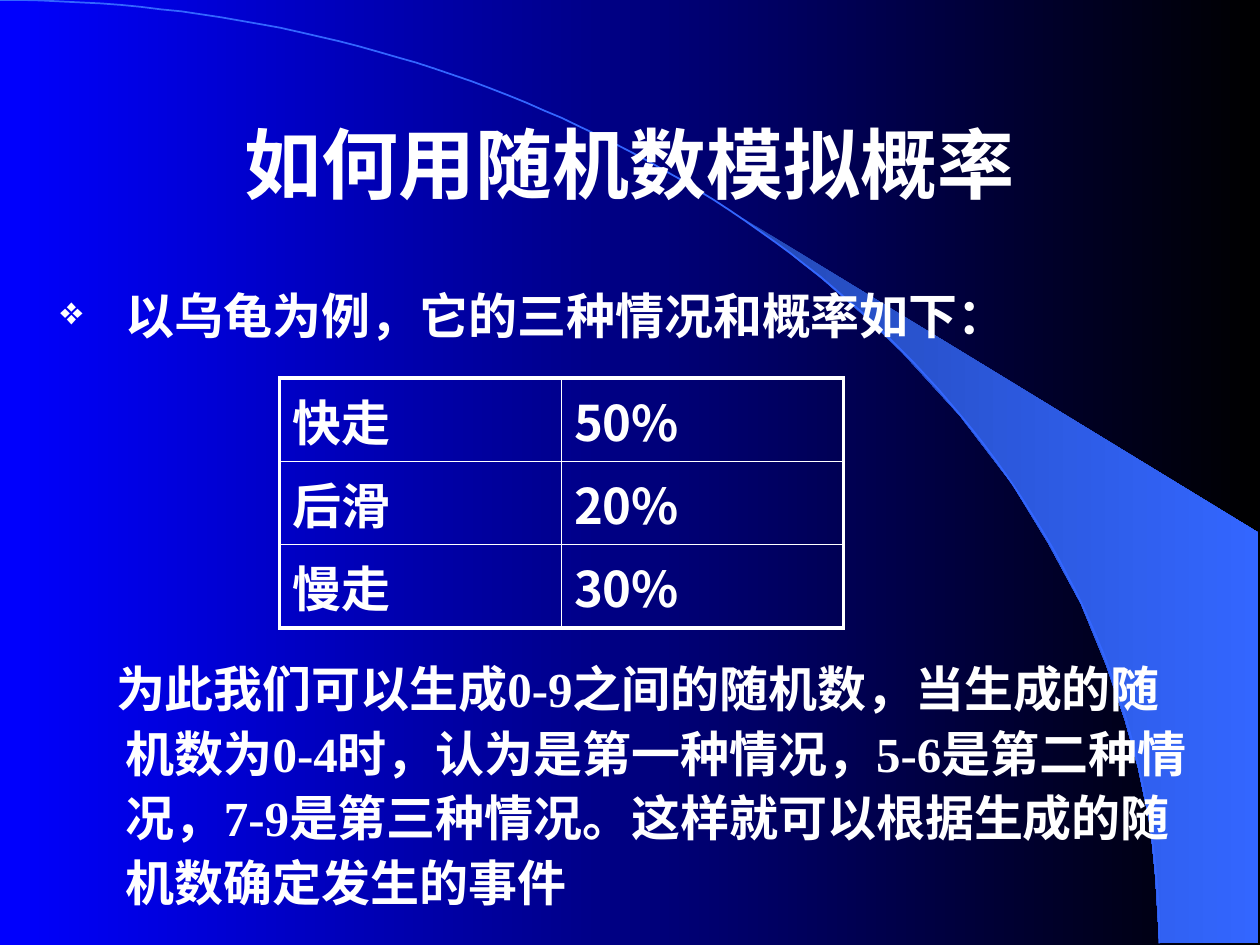
from math import cos, pi, sin

from lxml import etree
from pptx import Presentation
from pptx.dml.color import RGBColor
from pptx.enum.text import MSO_ANCHOR, PP_ALIGN
from pptx.oxml import parse_xml
from pptx.oxml.ns import nsdecls, qn
from pptx.util import Cm, Pt

CENTER, LEFT = PP_ALIGN.CENTER, PP_ALIGN.LEFT
MIDDLE, TOP = MSO_ANCHOR.MIDDLE, MSO_ANCHOR.TOP
COLORS = {"white": "FFFFFF", "blue": "0000FF", "black": "000000",
          "deep": "2449B6", "sky": "3366FF"}
SANS, SERIF, HAN = "Arial", "Times New Roman", "Noto Sans CJK SC"


def rgb(name):
    return RGBColor.from_string(COLORS[name])


class Deck:
    def __init__(self):
        self.prs = Presentation()
        self.prs.slide_width, self.prs.slide_height = Cm(25.4), Cm(19.05)
        self.slide = self.prs.slides.add_slide(self.prs.slide_layouts[6])
        self.shapes = self.slide.shapes

    def blend(self, fill, first, last):
        fill.gradient()
        fill.gradient_angle = 0
        for stop, pos, name in zip(fill.gradient_stops, (0, 1), (first, last)):
            stop.position = pos
            stop.color.rgb = rgb(name)

    def outline(self, points, close):
        dots = [(round(x * 100), round(y * 100)) for x, y in points]
        pen = self.shapes.build_freeform(*dots[0], scale=int(Cm(0.01)))
        pen.add_line_segments(dots[1:], close=close)
        shape = pen.convert_to_shape()
        shape.shadow.inherit = False
        return shape

    def add_run(self, para, text, size, font):
        run = para.add_run()
        run.text = text
        run.font.size, run.font.bold = Pt(size), True
        run.font.name = font
        run.font.color.rgb = rgb("white")
        east = etree.SubElement(run.font._element, qn("a:ea"))
        east.set("typeface", HAN)

    def text(self, box, words, size, font, align=LEFT, anchor=TOP):
        frame = self.shapes.add_textbox(*map(Cm, box)).text_frame
        frame.word_wrap, frame.vertical_anchor = True, anchor
        para = frame.paragraphs[0]
        para.alignment = align
        self.add_run(para, words, size, font)
        return para

    def body(self, box, words, hang, mark=None):
        para = self.text(box, words, 28, SERIF)
        para.line_spacing, para.space_before = 1.1, Pt(5.6)
        props = para._p.get_or_add_pPr()
        props.set("marL", str(Cm(1.32)))
        props.set("indent", str(-Cm(hang)))
        if mark:
            color = etree.SubElement(props, qn("a:buClr"))
            etree.SubElement(color, qn("a:srgbClr")).set("val", COLORS["white"])
            etree.SubElement(props, qn("a:buSzPct")).set("val", "80000")
            etree.SubElement(props, qn("a:buChar")).set("char", mark)

    def edge(self, cell, tag, width):
        cell._tc.get_or_add_tcPr().append(parse_xml(
            f'<a:{tag} {nsdecls("a")} w="{Pt(width)}"><a:solidFill>'
            f'<a:srgbClr val="{COLORS["white"]}"/></a:solidFill></a:{tag}>'))

    def table(self, left, top, wide, high, rows):
        n, m = len(rows), len(rows[0])
        grid = self.shapes.add_table(n, m, Cm(left), Cm(top),
                                     Cm(wide * m), Cm(high * n)).table
        grid.first_row = grid.horz_banding = False
        for row in grid.rows:
            row.height = Cm(high)
        for i, row in enumerate(rows):
            for j, words in enumerate(row):
                cell = grid.cell(i, j)
                outer = {"lnL": j == 0, "lnR": j == m - 1,
                         "lnT": i == 0, "lnB": i == n - 1}
                for tag, thick in outer.items():
                    self.edge(cell, tag, 2.25 if thick else 1)
                cell.fill.background()
                self.add_run(cell.text_frame.paragraphs[0], words, 28, HAN)


deck = Deck()

# Backdrop
deck.blend(deck.slide.background.fill, "blue", "black")
wedge = deck.outline([
    (23.37, 19), (25.37, 19.02), (25.37, 10.74), (14.96, 4.39),
    (15.85, 5.05), (16.59, 5.64), (17.4, 6.35), (18.19, 7.11),
    (19.35, 8.38), (20.4, 9.75), (21.13, 10.95), (21.79, 12.17),
    (22.3, 13.41), (22.68, 14.53), (22.94, 15.47), (23.19, 16.66),
    (23.29, 17.68)], True)
deck.blend(wedge.fill, "deep", "sky")
wedge.line.fill.background()

# Quarter ellipse from the top left corner
steps = 90
turns = [pi / 2 * i / steps for i in range(steps + 1)]
arc = deck.outline([(23.37 * sin(t), 19.02 * (1 - cos(t))) for t in turns], False)
arc.fill.background()
arc.line.color.rgb = rgb("sky")
arc.line.width = Pt(1)

# Title and text
deck.text((1.9, 1.7, 21.6, 3.18), "如何用随机数模拟概率", 44, SANS, CENTER, MIDDLE)
deck.body((0.97, 5.51, 23.37, 1.6), "以乌龟为例，它的三种情况和概率如下：", 1.32, "❖")
deck.body((0.97, 13.03, 23.37, 5.6),
          "为此我们可以生成0-9之间的随机数，当生成的随机数为0-4时，认为是第一种情况，"
          "5-6是第二种情况，7-9是第三种情况。这样就可以根据生成的随机数确定发生的事件", 0.2)

# Odds
deck.table(5.64, 7.62, 5.68, 1.68,
           [("快走", "50%"), ("后滑", "20%"), ("慢走", "30%")])

deck.prs.save("out.pptx")
